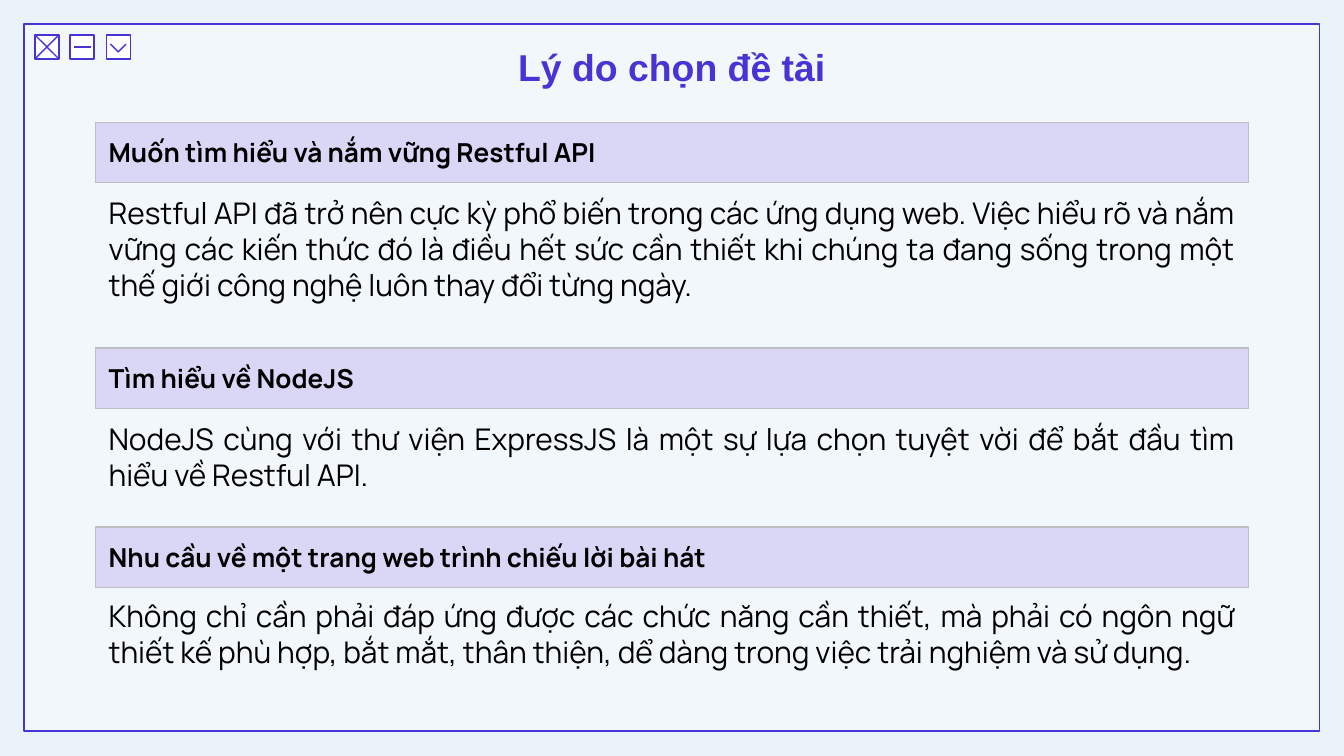
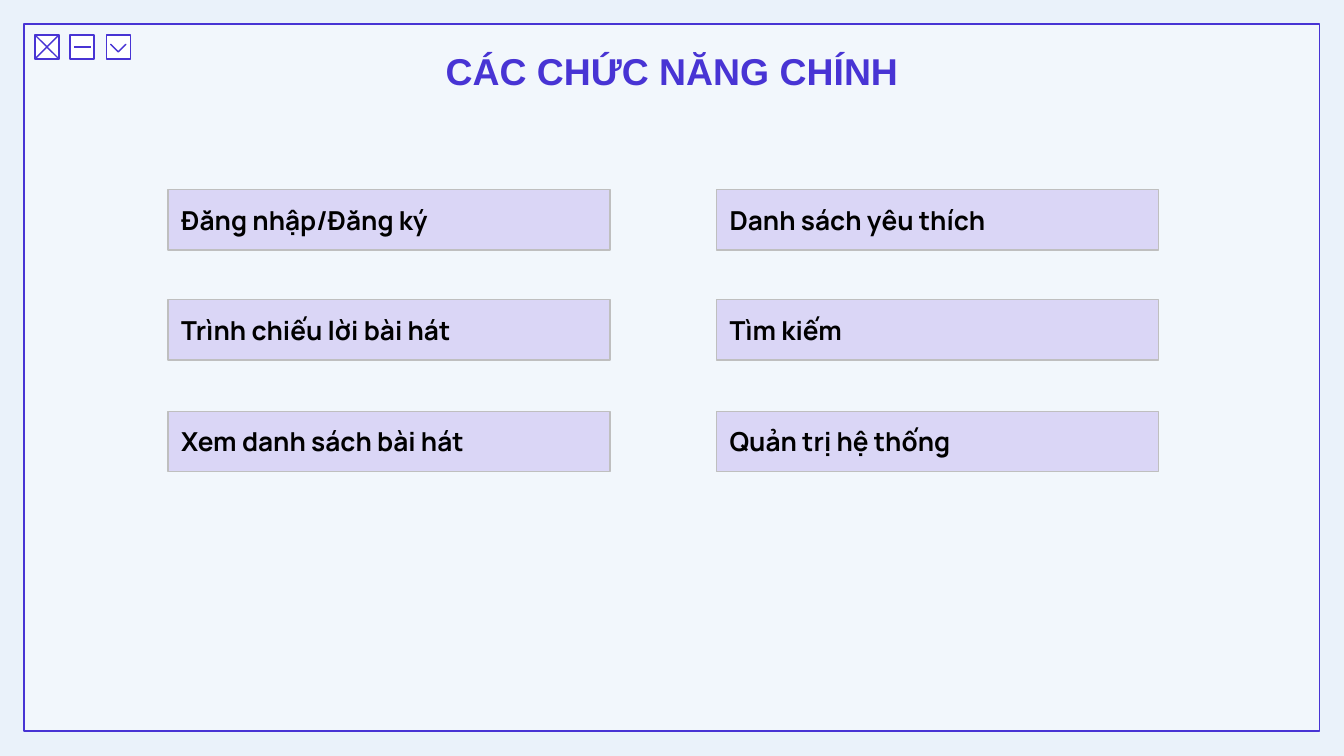
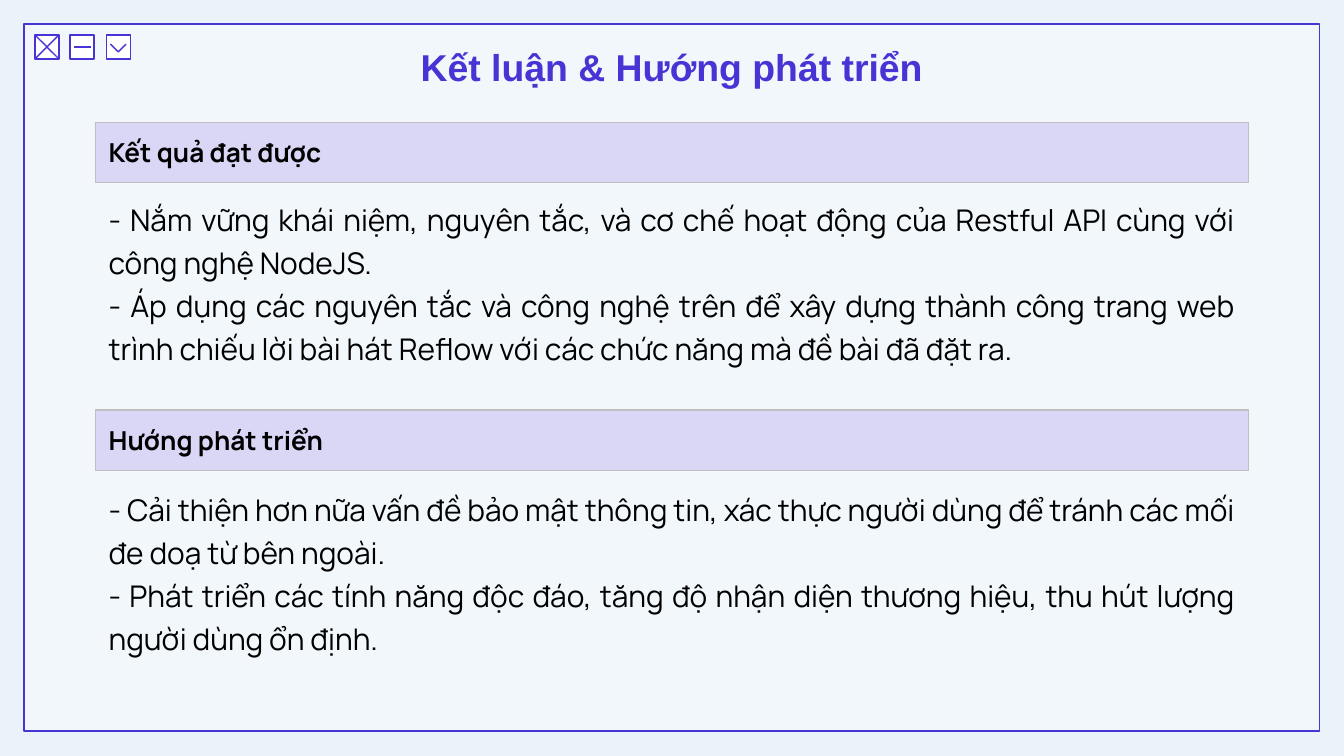
"""Build three slides about a song lyrics web project."""
from dataclasses import dataclass

from lxml import etree
from pptx import Presentation
from pptx.dml.color import RGBColor
from pptx.enum.shapes import MSO_CONNECTOR, MSO_SHAPE
from pptx.enum.text import MSO_ANCHOR, MSO_AUTO_SIZE, PP_ALIGN
from pptx.oxml.ns import qn
from pptx.shapes.autoshape import Shape
from pptx.slide import Slide, SlideLayout
from pptx.text.text import TextFrame
from pptx.util import Pt

RECT, CROSS, HALF = MSO_SHAPE.RECTANGLE, MSO_SHAPE.MATH_MULTIPLY, MSO_SHAPE.HALF_FRAME
STRAIGHT = MSO_CONNECTOR.STRAIGHT
TOP, MIDDLE = MSO_ANCHOR.TOP, MSO_ANCHOR.MIDDLE
LEFT, CENTER, JUSTIFY = PP_ALIGN.LEFT, PP_ALIGN.CENTER, PP_ALIGN.JUSTIFY
FIXED, GROW = MSO_AUTO_SIZE.NONE, MSO_AUTO_SIZE.SHAPE_TO_FIT_TEXT

SCALE = 9144
COLORS = {"page": "EAF2FA", "white": "FFFFFF", "accent": "4834D4", "yellow": "F9CA24",
          "pink": "FFE8F5", "bar": "DAD6F6", "edge": "BFBFBF", "ink": "000000"}


@dataclass(frozen=True)
class Box:
    """Place and size in px."""
    left: int
    top: int
    width: int
    height: int

    def emu(self) -> tuple[int, int, int, int]:
        """Return the four lengths in EMU."""
        return px(self.left), px(self.top), px(self.width), px(self.height)


@dataclass(frozen=True)
class Icon:
    """One outlined part of the window frame."""
    box: Box
    fill: str = "white"
    kind: MSO_SHAPE = RECT
    turn: int = 0


@dataclass(frozen=True)
class Topic:
    """A heading bar with the text below it."""
    top: int
    head: str
    start: int
    height: int
    lines: tuple[str, ...]


PANEL = Icon(Box(18, 18, 964, 526))
ICONS = (
    Icon(Box(26, 26, 18, 18)),
    Icon(Box(18, 18, 34, 34), "yellow", CROSS),
    Icon(Box(52, 26, 18, 18)),
    Icon(Box(79, 26, 18, 18)),
    Icon(Box(84, 29, 8, 8), "pink", HALF, 225),
)
NARROW = Box(296, 23, 408, 63)
WIDE = Box(275, 26, 450, 83)

REASONS = (
    Topic(91, "Muốn tìm hiểu và nắm vững Restful API", 140, 91, (
        "Restful API đã trở nên cực kỳ phổ biến trong các ứng dụng web. Việc hiểu rõ và nắm "
        "vững các kiến thức đó là điều hết sức cần thiết khi chúng ta đang sống trong một "
        "thế giới công nghệ luôn thay đổi từng ngày.",)),
    Topic(259, "Tìm hiểu về NodeJS", 308, 64, (
        "NodeJS cùng với thư viện ExpressJS là một sự lựa chọn tuyệt vời để bắt đầu tìm "
        "hiểu về Restful API.",)),
    Topic(392, "Nhu cầu về một trang web trình chiếu lời bài hát", 440, 64, (
        "Không chỉ cần phải đáp ứng được các chức năng cần thiết, mà phải có ngôn ngữ "
        "thiết kế phù hợp, bắt mắt, thân thiện, dể dàng trong việc trải nghiệm và sử dụng.",)),
)
RESULTS = (
    Topic(91, "Kết quả đạt được", 140, 136, (
        "- Nắm vững khái niệm, nguyên tắc, và cơ chế hoạt động của Restful API cùng với "
        "công nghệ NodeJS.",
        "- Áp dụng các nguyên tắc và công nghệ trên để xây dựng thành công trang web "
        "trình chiếu lời bài hát Reflow với các chức năng mà đề bài đã đặt ra.")),
    Topic(305, "Hướng phát triển", 356, 136, (
        "- Cải thiện hơn nữa vấn đề bảo mật thông tin, xác thực người dùng để tránh các mối "
        "đe doạ từ bên ngoài.",
        "- Phát triển các tính năng độc đáo, tăng độ nhận diện thương hiệu, thu hút lượng "
        "người dùng ổn định.")),
)
TASKS = (
    ("Đăng nhập/Đăng ký", "Danh sách yêu thích"),
    ("Trình chiếu lời bài hát", "Tìm kiếm"),
    ("Xem danh sách bài hát", "Quản trị hệ thống"),
)


def px(length: int) -> int:
    """Turn px into EMU."""
    return length * SCALE


def color(name: str) -> RGBColor:
    """Look up a colour by name."""
    return RGBColor.from_string(COLORS[name])


def style(frame: TextFrame, size: int, bold: bool, align: PP_ALIGN,
          ink: str = "ink", font: str = "Manrope", pitch: float = 1.0) -> None:
    """Format every paragraph and run of a text frame."""
    frame.word_wrap = True
    for para in frame.paragraphs:
        para.alignment = align
        para.line_spacing = pitch
        for run in para.runs:
            run.font.name = font
            run.font.size = Pt(size)
            run.font.bold = bold
            run.font.color.rgb = color(ink)


def pad(frame: TextFrame) -> None:
    """Set equal insets on all sides."""
    frame.margin_left = frame.margin_right = px(10)
    frame.margin_top = frame.margin_bottom = px(10)


def add_block(slide: Slide, icon: Icon, edge: str = "accent") -> Shape:
    """Draw a filled shape with a thin outline."""
    shape = slide.shapes.add_shape(icon.kind, *icon.box.emu())
    shape.shadow.inherit = False
    shape.fill.solid()
    shape.fill.fore_color.rgb = color(icon.fill)
    shape.line.color.rgb = color(edge)
    shape.line.width = Pt(0.75)
    shape.rotation = icon.turn
    if icon.kind != RECT:
        for i in range(len(shape.adjustments)):
            shape.adjustments[i] = 0
    return shape


def add_frame(slide: Slide, layout: SlideLayout) -> None:
    """Draw the window frame and move it to the layout."""
    panel = add_block(slide, PANEL)
    tint = panel.element.xpath("./p:spPr/a:solidFill/a:srgbClr")[0]
    etree.SubElement(tint, qn("a:alpha")).set("val", "41000")
    parts = [panel] + [add_block(slide, icon) for icon in ICONS]
    dash = slide.shapes.add_connector(STRAIGHT, px(55), px(35), px(68), px(35))
    dash.line.color.rgb = color("accent")
    dash.line.width = Pt(0.75)
    etree.SubElement(dash.element.spPr, qn("a:effectLst"))
    for number, part in enumerate(parts + [dash], 20):
        part.element.xpath(".//p:cNvPr")[0].set("id", str(number))
        layout.shapes.element.append(part.element)


def set_title(slide: Slide, text: str, box: Box) -> None:
    """Place and format the title."""
    title = slide.shapes.title
    title.left, title.top, title.width, title.height = box.emu()
    frame = title.text_frame
    frame.text = text
    frame.auto_size = FIXED
    frame.vertical_anchor = TOP
    pad(frame)
    style(frame, 20, True, CENTER, "accent", "Arial")


def add_bar(slide: Slide, text: str, left: int, top: int, width: int) -> None:
    """Draw a heading bar."""
    bar = add_block(slide, Icon(Box(left, top, width, 45), "bar"), "edge")
    frame = bar.text_frame
    frame.text = text
    frame.vertical_anchor = MIDDLE
    pad(frame)
    style(frame, 14, True, LEFT)


def add_topics(slide: Slide, topics: tuple[Topic, ...], pitch: float) -> None:
    """Draw each heading bar with its text."""
    for topic in topics:
        add_bar(slide, topic.head, 71, topic.top, 858)
        box = Box(71, topic.start, 858, topic.height)
        frame = slide.shapes.add_textbox(*box.emu()).text_frame
        frame.text = "\n".join(topic.lines)
        frame.auto_size = GROW
        style(frame, 16, False, JUSTIFY, pitch=pitch)


def add_tasks(slide: Slide) -> None:
    """Draw the grid of main functions."""
    for row, names in enumerate(TASKS):
        for col, name in enumerate(names):
            add_bar(slide, name, 125 + 408 * col, 141 + 165 * row // 2, 329)


def main() -> None:
    """Build and save the slides."""
    deck = Presentation()
    deck.slide_width, deck.slide_height = px(1000), px(1125) // 2
    layout = deck.slide_layouts[5]
    layout.background.fill.solid()
    layout.background.fill.fore_color.rgb = color("page")
    why, tasks, end = (deck.slides.add_slide(layout) for _ in range(3))
    add_frame(why, layout)
    set_title(why, "Lý do chọn đề tài", NARROW)
    add_topics(why, REASONS, 1.0)
    set_title(tasks, "CÁC CHỨC NĂNG CHÍNH", WIDE)
    add_tasks(tasks)
    set_title(end, "Kết luận & Hướng phát triển", NARROW)
    add_topics(end, RESULTS, 1.2)
    deck.save("out.pptx")


if __name__ == "__main__":
    main()
